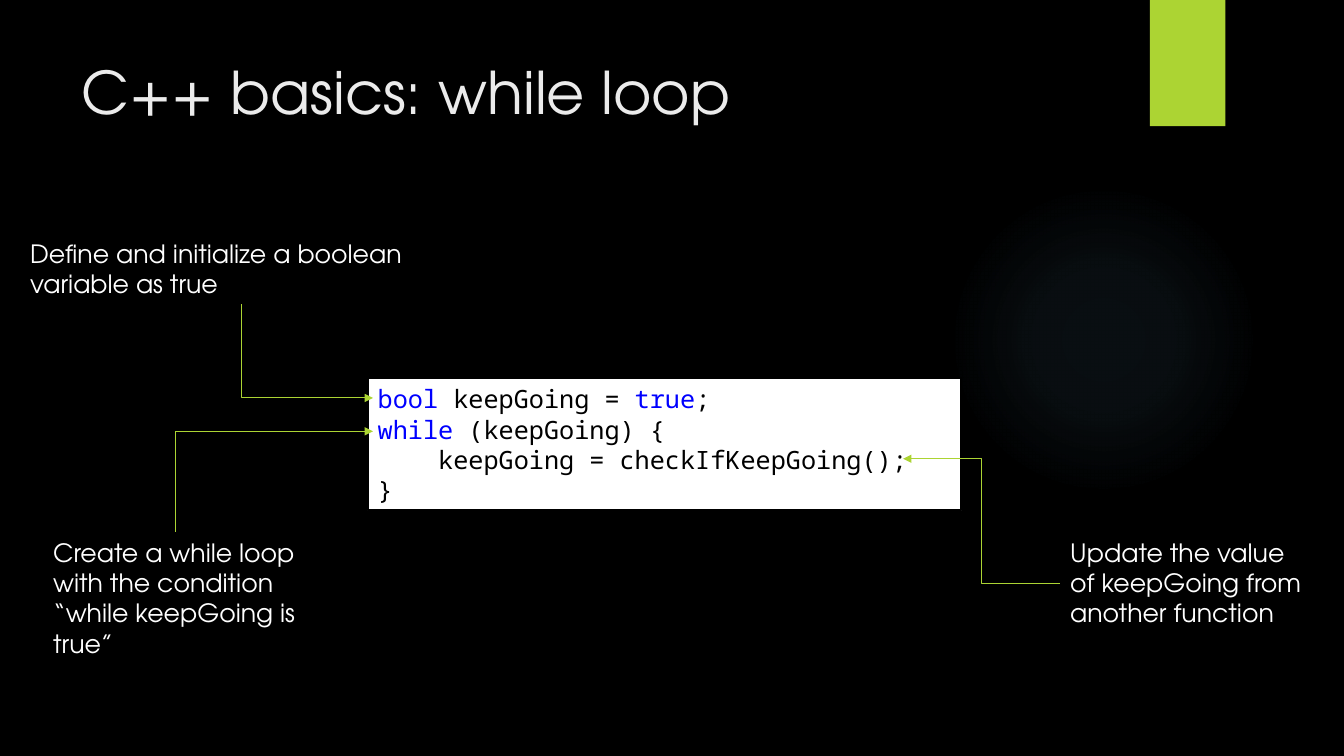
from dataclasses import dataclass

from pptx import Presentation
from pptx.dml.color import RGBColor
from pptx.enum.shapes import MSO_CONNECTOR as Connector, MSO_SHAPE as Shape
from pptx.enum.text import MSO_ANCHOR as Anchor, MSO_AUTO_SIZE as AutoSize, PP_ALIGN as Align
from pptx.oxml import parse_xml
from pptx.oxml.ns import nsdecls, qn
from pptx.util import Cm, Pt


@dataclass(frozen=True)
class Theme:
    background: str = "000000"
    title: str = "EBEBEB"
    caption: str = "FFFFFF"
    accent: str = "ACD433"
    glow: str = "7AC4F0"
    code_fill: str = "FFFFFF"
    code: str = "000000"
    keyword: str = "0000FF"
    sans: str = "TeX Gyre Adventor"
    mono: str = "Noto Sans Mono"
    title_size: float = 42
    body_size: float = 18
    arrow_width: float = 0.75
    border_width: float = 1.5


THEME = Theme()

TITLE = "C++ basics: while loop"
KEYWORD, PLAIN = THEME.keyword, THEME.code
CODE = [
    [("bool ", KEYWORD), ("keepGoing = ", PLAIN), ("true", KEYWORD), (";", PLAIN)],
    [("while", KEYWORD), (" (keepGoing) {", PLAIN)],
    [("    keepGoing = checkIfKeepGoing();", PLAIN)],
    [("}", PLAIN)],
]
# Caption, its box (left, top, width, height), side the arrow leaves, arrow tip; in cm
CALLOUTS = [
    ("Define and initialize a boolean variable as true",
     (0.51, 5.87, 11.15, 1.8), "bottom", (9.4, 10.03)),
    ("Create a while loop with the condition “while keepGoing is true”",
     (1.09, 13.41, 6.65, 3.33), "top", (9.4, 10.87)),
    ("Update the value of keepGoing from another function",
     (26.72, 13.41, 6.58, 2.57), "left", (22.76, 11.56)),
]
TITLE_BOX = (1.8, 1.27, 26.14, 3.89)
CODE_BOX = (9.27, 9.53, 14.96, 3.33)
TAB_BOX = (28.98, 0, 1.9, 3.18)
GLOW_BOX = (23.9, 4.65, 7.82, 7.82)
GLOW_STOPS = [(0, 7), (36, 6), (69, 0)]  # position and opacity, percent


def cm(lengths):
    return [Cm(length) for length in lengths]


def rgb(colour):
    return RGBColor.from_string(colour)


def write(frame, lines, *, font=THEME.sans, size=THEME.body_size, anchor=Anchor.TOP):
    """Fill a text frame with lines, each a list of (text, colour) parts."""
    frame.word_wrap = True
    frame.auto_size = AutoSize.NONE
    frame.vertical_anchor = anchor
    for number, parts in enumerate(lines):
        line = frame.add_paragraph() if number else frame.paragraphs[0]
        line.alignment = Align.LEFT
        for text, colour in parts:
            run = line.add_run()
            run.text = text
            run.font.name = font
            run.font.size = Pt(size)
            run.font.color.rgb = rgb(colour)


def add_block(slide, kind, box, fill):
    block = slide.shapes.add_shape(kind, *cm(box))
    block.shadow.inherit = False
    block.fill.solid()
    block.fill.fore_color.rgb = rgb(fill)
    block.line.fill.background()
    return block


def add_glow(slide):
    glow = add_block(slide, Shape.OVAL, GLOW_BOX, THEME.glow)
    stops = "".join(
        f'<a:gs pos="{position * 1000}"><a:srgbClr val="{THEME.glow}">'
        f'<a:alpha val="{opacity * 1000}"/></a:srgbClr></a:gs>'
        for position, opacity in GLOW_STOPS)
    gradient = parse_xml(
        f'<a:gradFill {nsdecls("a")} rotWithShape="1"><a:gsLst>{stops}</a:gsLst>'
        '<a:path path="circle"><a:fillToRect l="50000" t="50000" r="50000" b="50000"/>'
        '</a:path></a:gradFill>')
    properties = glow.element.spPr
    properties.replace(properties.find(qn("a:solidFill")), gradient)


def add_arrow(slide, tip, box, side):
    """Draw an elbow from its arrowhead at the code to one side of a caption."""
    left, top, width, height = box
    end = {"top": (left + width / 2, top),
           "bottom": (left + width / 2, top + height),
           "left": (left, top + height / 2)}[side]
    arrow = slide.shapes.add_connector(Connector.ELBOW, *cm(tip), *cm(end))
    arrow.line.color.rgb = rgb(THEME.accent)
    arrow.line.width = Pt(THEME.arrow_width)
    properties = arrow.element.spPr
    if side != "left":
        properties.find(qn("a:prstGeom")).set("prst", "bentConnector2")
    properties.find(qn("a:ln")).append(
        parse_xml(f'<a:headEnd {nsdecls("a")} type="triangle"/>'))
    properties.append(parse_xml(f'<a:effectLst {nsdecls("a")}/>'))


def main():
    deck = Presentation()
    deck.slide_width, deck.slide_height = cm((33.87, 19.05))
    slide = deck.slides.add_slide(deck.slide_layouts[5])
    slide.background.fill.solid()
    slide.background.fill.fore_color.rgb = rgb(THEME.background)

    add_glow(slide)
    add_block(slide, Shape.RECTANGLE, TAB_BOX, THEME.accent)

    title = slide.shapes.title
    title.left, title.top, title.width, title.height = cm(TITLE_BOX)
    write(title.text_frame, [[(TITLE, THEME.title)]], size=THEME.title_size)

    code = add_block(slide, Shape.RECTANGLE, CODE_BOX, THEME.code_fill)
    code.line.color.rgb = rgb(THEME.code)
    code.line.width = Pt(THEME.border_width)
    write(code.text_frame, CODE, font=THEME.mono, anchor=Anchor.MIDDLE)

    for text, box, side, tip in CALLOUTS:
        caption = slide.shapes.add_textbox(*cm(box))
        write(caption.text_frame, [[(text, THEME.caption)]])
        add_arrow(slide, tip, box, side)

    deck.save("out.pptx")


if __name__ == "__main__":
    main()
